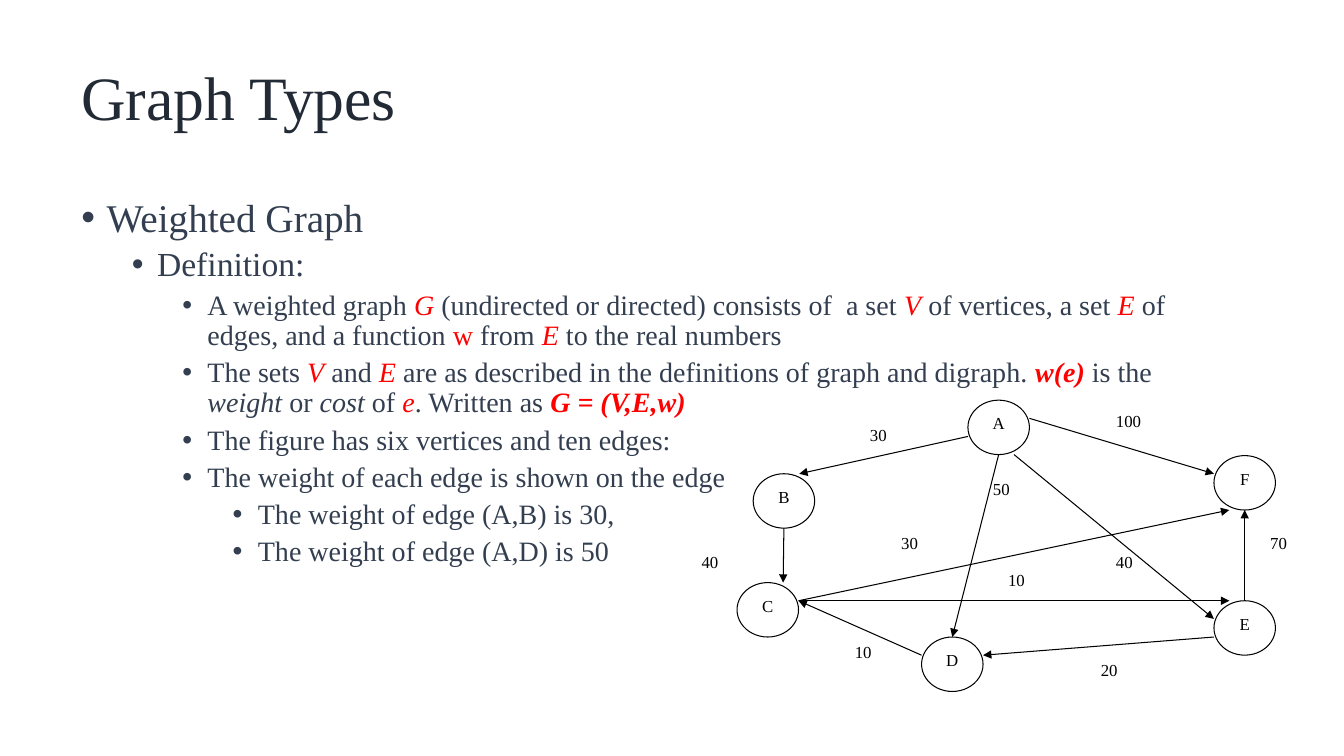
from lxml import etree
from pptx import Presentation
from pptx.dml.color import RGBColor
from pptx.enum.shapes import MSO_CONNECTOR, MSO_SHAPE
from pptx.enum.text import MSO_ANCHOR, PP_ALIGN
from pptx.oxml.ns import qn
from pptx.util import Inches, Pt

STRAIGHT = MSO_CONNECTOR.STRAIGHT
OVAL = MSO_SHAPE.OVAL
TOP, MIDDLE = MSO_ANCHOR.TOP, MSO_ANCHOR.MIDDLE
CENTER = PP_ALIGN.CENTER

FONT = "Times New Roman"
COLORS = {"title": "222A35", "body": "333F50", "accent": "FF0000",
          "ink": "000000", "paper": "FFFFFF"}

TITLE = "Graph Types"

# style: (color, bold, italic)
STYLES = {
    "plain": ("body", False, False),
    "term": ("body", False, True),
    "function": ("accent", False, False),
    "symbol": ("accent", False, True),
    "formula": ("accent", True, True),
}
LEVEL_SIZES = [28, 24, 20, 20]

OUTLINE = [
    (0, [("Weighted Graph", "plain")]),
    (1, [("Definition:", "plain")]),
    (2, [("A weighted graph ", "plain"), ("G ", "symbol"),
         ("(undirected or directed) consists of  a set ", "plain"),
         ("V", "symbol"), (" of vertices, a set ", "plain"), ("E", "symbol"),
         (" of edges, and a function ", "plain"), ("w", "function"),
         (" from ", "plain"), ("E", "symbol"),
         (" to the real numbers", "plain")]),
    (2, [("The sets ", "plain"), ("V", "symbol"), (" and ", "plain"),
         ("E ", "symbol"),
         ("are as described in the definitions of graph and digraph. ", "plain"),
         ("w(e) ", "formula"), ("is the ", "plain"), ("weight", "term"),
         (" or ", "plain"), ("cost", "term"), (" of ", "plain"),
         ("e", "symbol"), (". Written as ", "plain"),
         ("G = (V,E,w)", "formula")]),
    (2, [("The figure has six vertices and ten edges:", "plain")]),
    (2, [("The weight of each edge is shown on the edge", "plain")]),
    (3, [("The weight of edge (A,B) is 30,", "plain")]),
    (3, [("The weight of edge (A,D) is 50", "plain")]),
]

NODE_W, NODE_H = 0.61, 0.54
VERTICES = {"A": (9.6, 3.97), "B": (7.47, 4.7), "C": (7.31, 5.78),
            "D": (9.14, 6.32), "E": (12.04, 5.96), "F": (12.04, 4.52)}

THIRD, TWO_THIRDS = 1 / 3, 2 / 3
EDGES = [
    ("A", (0, TWO_THIRDS), "B", (0.75, 0)),
    ("A", (1, THIRD), "F", (0, THIRD)),
    ("A", (0.5, 1), "D", (0.5, 0)),
    ("A", (0.75, 1), "E", (0, THIRD)),
    ("B", (0.5, 1), "C", (0.75, 0)),
    ("C", (1, THIRD), "E", (0.25, 0)),
    ("C", (1, THIRD), "F", (0.25, 1)),
    ("D", (0, THIRD), "C", (1, THIRD)),
    ("E", (0, TWO_THIRDS), "D", (1, THIRD)),
    ("E", (0.5, 0), "F", (0.5, 1)),
]
WEIGHTS = [("30", 8.53, 4.16), ("30", 8.84, 5.24), ("50", 9.75, 4.7),
           ("100", 10.97, 4.03), ("40", 6.86, 5.42), ("40", 10.97, 5.42),
           ("10", 8.38, 6.32), ("70", 12.5, 5.24), ("20", 10.82, 6.5),
           ("10", 9.9, 5.6)]


def rgb(name):
    return RGBColor.from_string(COLORS[name])


def add_run(paragraph, text, size, color, bold=False, italic=False):
    run = paragraph.add_run()
    run.text = text
    run.font.name = FONT
    run.font.size = Pt(size)
    run.font.bold = bold
    run.font.italic = italic
    run.font.color.rgb = rgb(color)


def add_text_frame(slide, left, top, width, height, anchor=TOP):
    box = slide.shapes.add_textbox(Inches(left), Inches(top),
                                   Inches(width), Inches(height))
    frame = box.text_frame
    frame.word_wrap = True
    frame.vertical_anchor = anchor
    return frame


def add_outline(slide):
    frame = add_text_frame(slide, 0.71, 1.92, 11.5, 4.76)
    for index, (level, runs) in enumerate(OUTLINE):
        paragraph = frame.add_paragraph() if index else frame.paragraphs[0]
        properties = paragraph._p.get_or_add_pPr()
        properties.set("marL", str(Inches(0.25 + 0.5 * level)))
        properties.set("indent", str(Inches(-0.25)))
        etree.SubElement(properties, qn("a:buFont"), typeface="Arial")
        etree.SubElement(properties, qn("a:buChar"), char="•")
        paragraph.level = level
        paragraph.line_spacing = 0.9
        if index:
            paragraph.space_before = Pt(5)
        for text, style in runs:
            add_run(paragraph, text, LEVEL_SIZES[level], *STYLES[style])


def add_vertex(slide, name, left, top):
    vertex = slide.shapes.add_shape(OVAL, Inches(left), Inches(top),
                                    Inches(NODE_W), Inches(NODE_H))
    vertex.shadow.inherit = False
    vertex.fill.solid()
    vertex.fill.fore_color.rgb = rgb("paper")
    vertex.line.color.rgb = rgb("ink")
    vertex.line.width = Pt(0.75)
    vertex.text_frame.vertical_anchor = TOP
    paragraph = vertex.text_frame.paragraphs[0]
    paragraph.alignment = CENTER
    add_run(paragraph, name, 12, "ink")


def point_on(name, fraction):
    left, top = VERTICES[name]
    return (Inches(left + fraction[0] * NODE_W),
            Inches(top + fraction[1] * NODE_H))


def add_edge(slide, source, source_at, target, target_at):
    edge = slide.shapes.add_connector(
        STRAIGHT, *point_on(source, source_at), *point_on(target, target_at))
    edge.line.color.rgb = rgb("ink")
    edge.line.width = Pt(0.75)
    etree.SubElement(edge.line._get_or_add_ln(), qn("a:tailEnd"), type="triangle")
    etree.SubElement(edge._element.spPr, qn("a:effectLst"))


def main():
    deck = Presentation()
    deck.slide_width, deck.slide_height = Inches(13.33), Inches(7.5)
    slide = deck.slides.add_slide(deck.slide_layouts[6])

    heading = add_text_frame(slide, 0.71, 0.35, 12.29, 1.29, MIDDLE).paragraphs[0]
    heading.line_spacing = 0.9
    add_run(heading, TITLE, 44, "title")
    add_outline(slide)

    for name, (left, top) in VERTICES.items():
        add_vertex(slide, name, left, top)
    for edge in EDGES:
        add_edge(slide, *edge)
    for weight, left, top in WEIGHTS:
        label = add_text_frame(slide, left, top, NODE_W, NODE_H)
        add_run(label.paragraphs[0], weight, 12, "ink")

    deck.save("out.pptx")


if __name__ == "__main__":
    main()
